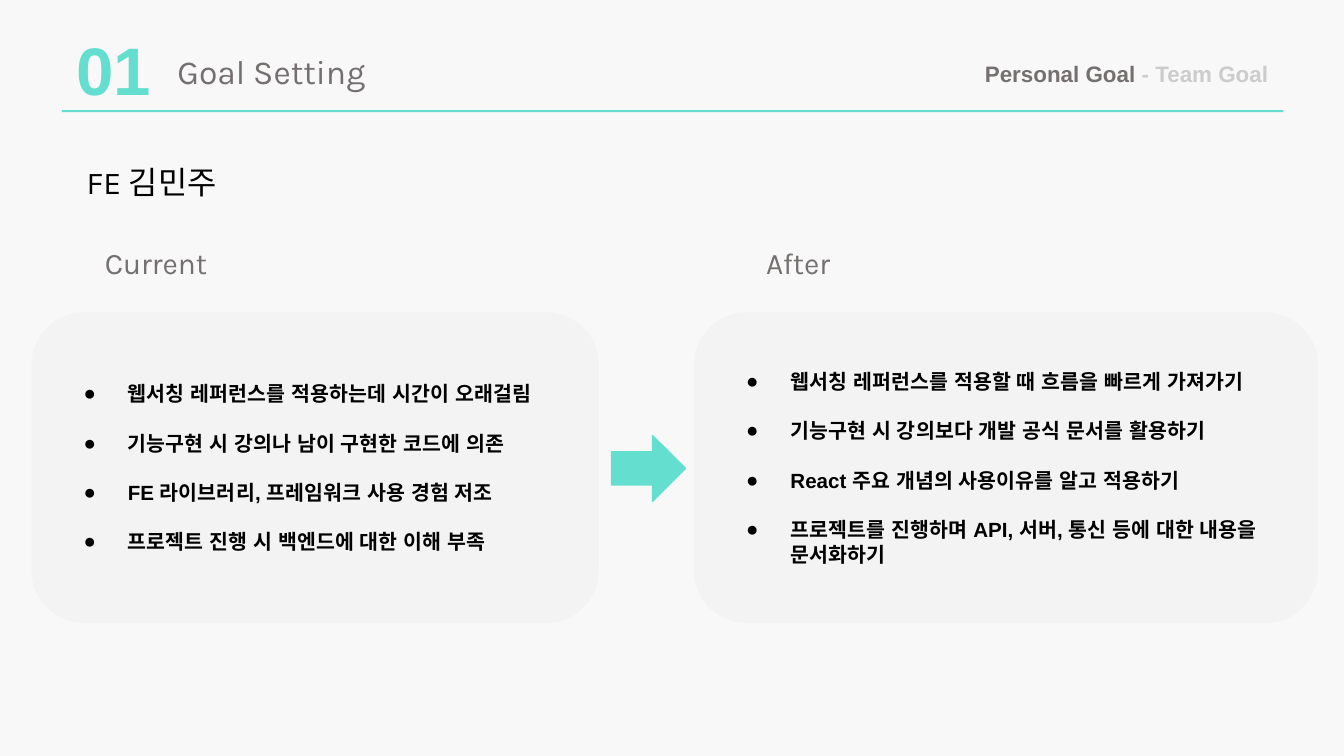
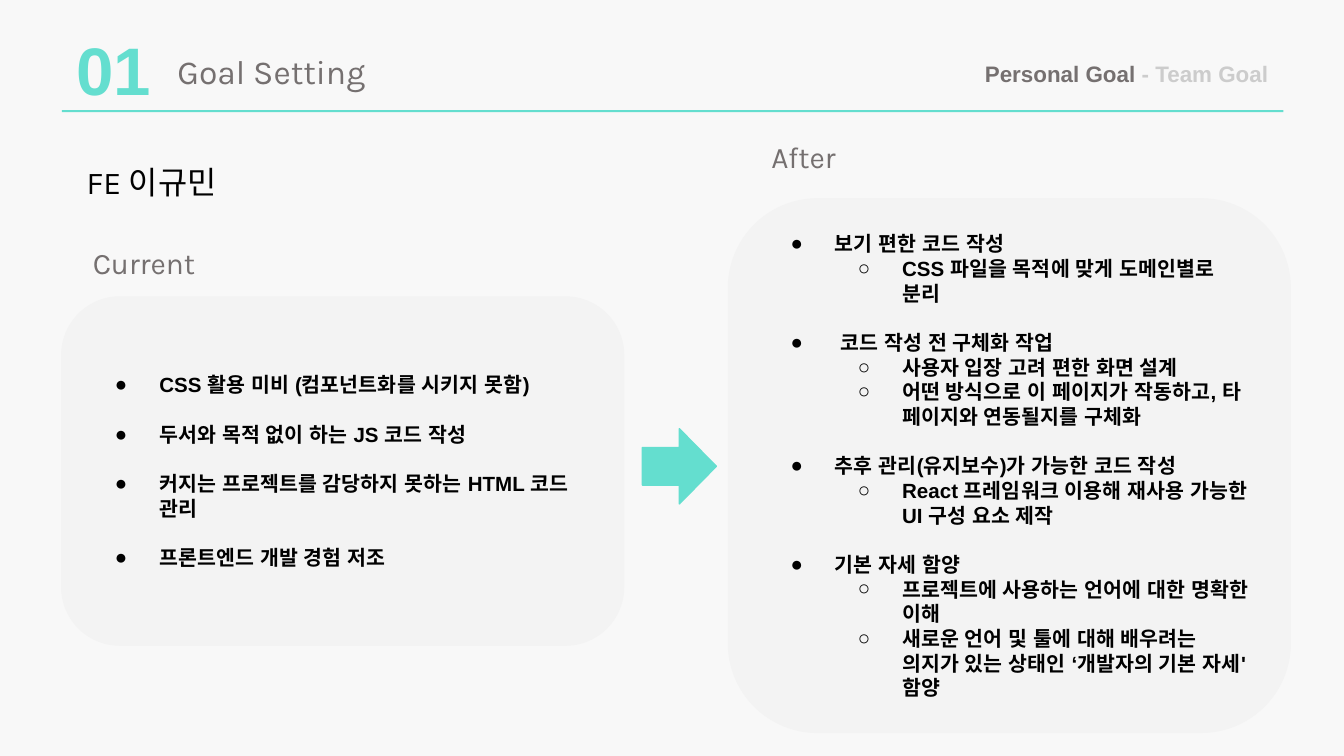
from dataclasses import dataclass

from lxml.etree import SubElement
from pptx import Presentation
from pptx.dml.color import RGBColor
from pptx.enum.shapes import MSO_SHAPE
from pptx.enum.text import MSO_ANCHOR, MSO_AUTO_SIZE, PP_ALIGN
from pptx.oxml.ns import qn
from pptx.util import Inches, Pt


@dataclass(frozen=True)
class Theme:
    """Colours, fonts, type sizes and grid of the deck."""
    back: str = "F8F8F8"
    mint: str = "64DECF"
    gray: str = "757070"
    pale: str = "CCCCCC"
    panel: str = "F3F3F3"
    ink: str = "000000"
    head: str = "Karla"
    body: str = "Arial"
    mark: int = 36
    title: int = 18
    name: int = 17
    label: int = 16
    crumb: int = 12
    item: int = 11
    gap: float = 13.2
    cols: int = 100
    rows: float = 56.25
    cell: float = 0.1
    pad: float = 0.1
    corner: float = 0.167


THEME = Theme()

GOALS = [
    {
        "name": "FE 김민주",
        "arrow": (45.5, 32.4, 5.5, 4.9),
        "parts": [
            ("Current", (7.1, 17.8), (2.4, 23.3, 42.1, 23), [
                ("웹서칭 레퍼런스를 적용하는데 시간이 오래걸림", []),
                ("기능구현 시 강의나 남이 구현한 코드에 의존", []),
                ("FE 라이브러리, 프레임워크 사용 경험 저조", []),
                ("프로젝트 진행 시 백엔드에 대한 이해 부족", []),
            ]),
            ("After", (56.3, 17.8), (51.7, 23.3, 46.3, 23), [
                ("웹서칭 레퍼런스를 적용할 때 흐름을 빠르게 가져가기", []),
                ("기능구현 시 강의보다 개발 공식 문서를 활용하기", []),
                ("React 주요 개념의 사용이유를 알고 적용하기", []),
                ("프로젝트를 진행하며 API, 서버, 통신 등에 대한 내용을 문서화하기", []),
            ]),
        ],
    },
    {
        "name": "FE 이규민",
        "arrow": (47.8, 31.9, 5.5, 5.6),
        "parts": [
            ("Current", (6.2, 17.8), (4.6, 22.1, 41.8, 25.9), [
                ("CSS 활용 미비 (컴포넌트화를 시키지 못함)", []),
                ("두서와 목적 없이 하는 JS 코드 작성", []),
                ("커지는 프로젝트를 감당하지 못하는 HTML 코드 관리", []),
                ("프론트엔드 개발 경험 저조", []),
            ]),
            ("After", (56.7, 9.9), (54.2, 14.8, 41.8, 39.7), [
                ("보기 편한 코드 작성", [
                    "CSS 파일을 목적에 맞게 도메인별로 분리"]),
                (" 코드 작성 전 구체화 작업", [
                    "사용자 입장 고려 편한 화면 설계",
                    "어떤 방식으로 이 페이지가 작동하고, 타 페이지와 연동될지를 구체화"]),
                ("추후 관리(유지보수)가 가능한 코드 작성", [
                    "React 프레임워크 이용해 재사용 가능한 UI 구성 요소 제작"]),
                ("기본 자세 함양", [
                    "프로젝트에 사용하는 언어에 대한 명확한 이해",
                    "새로운 언어 및 툴에 대해 배우려는 의지가 있는 상태인 "
                    "‘개발자의 기본 자세' 함양"]),
            ]),
        ],
    },
]


def grid(*cells):
    """Turn columns and rows into lengths."""
    return [Inches(cell * THEME.cell) for cell in cells]


def tint(color):
    """Turn a hex string into a colour."""
    return RGBColor.from_string(color)


def write(para, text, size=THEME.item, font=THEME.body, color=THEME.ink, bold=False):
    """Add a formatted run to a paragraph."""
    run = para.add_run()
    run.text = text
    run.font.size = Pt(size)
    run.font.bold = bold
    run.font.color.rgb = tint(color)
    run.font.name = font
    SubElement(run.font._element, qn("a:ea")).set("typeface", font)


def frame(shape, side=THEME.pad, top=THEME.pad, anchor=MSO_ANCHOR.TOP):
    """Set the wrap, insets and anchor of a shape's text."""
    text = shape.text_frame
    text.word_wrap = True
    text.auto_size = MSO_AUTO_SIZE.NONE
    text.vertical_anchor = anchor
    text.margin_left = text.margin_right = Inches(side)
    text.margin_top = text.margin_bottom = Inches(top)
    return text


def label(slide, cells, *parts, side=THEME.pad, top=THEME.pad):
    """Add a text box of one paragraph and return the paragraph."""
    box = slide.shapes.add_textbox(*grid(*cells))
    para = frame(box, side, top).paragraphs[0]
    for text, style in parts:
        write(para, text, **style)
    return para


def block(slide, kind, cells, color, edge=True):
    """Add a preset shape in one flat colour."""
    shape = slide.shapes.add_shape(kind, *grid(*cells))
    shape.shadow.inherit = False
    shape.fill.solid()
    shape.fill.fore_color.rgb = tint(color)
    if edge:
        shape.line.color.rgb = tint(color)
        shape.line.width = Pt(0.75)
    else:
        shape.line.fill.background()
    return shape


def place(shape, cells):
    """Move a placeholder onto the grid."""
    shape.left, shape.top, shape.width, shape.height = grid(*cells)


def bullet(para, text, level=0, gap=0):
    """Format a paragraph as a bulleted list item."""
    para.level = level
    para.alignment = PP_ALIGN.LEFT
    para.line_spacing = 1.0
    para.space_before = Pt(gap)
    para.space_after = Pt(0)
    props = para._p.get_or_add_pPr()
    props.set("marL", str(Inches(0.5 * (level + 1))))
    props.set("indent", str(-Inches(0.33)))
    fill = SubElement(props, qn("a:buClr"))
    SubElement(fill, qn("a:srgbClr")).set("val", THEME.ink)
    SubElement(props, qn("a:buFont")).set("typeface", THEME.body)
    SubElement(props, qn("a:buChar")).set("char", "●○"[level])
    write(para, text, bold=True)


def panel(slide, body, cells, items):
    """Draw a rounded panel behind a bulleted body placeholder."""
    card = block(slide, MSO_SHAPE.ROUNDED_RECTANGLE, cells, THEME.panel)
    card.adjustments[0] = THEME.corner
    body.element.addprevious(card.element)
    place(body, cells)
    inset = THEME.pad + 0.29 * THEME.corner * min(cells[2:]) * THEME.cell
    text = frame(body, inset, inset, MSO_ANCHOR.MIDDLE)
    lines = [(line, level, THEME.gap if row and not level else 0)
             for row, (item, subs) in enumerate(items)
             for level, group in enumerate(([item], subs))
             for line in group]
    for spot, line in enumerate(lines):
        para = text.add_paragraph() if spot else text.paragraphs[0]
        bullet(para, *line)


def header(slide):
    """Add the number, title, trail and rule that all slides share."""
    title = slide.shapes.title
    place(title, (12.2, 2.8, 32.8, 5))
    para = frame(title).paragraphs[0]
    para.alignment = PP_ALIGN.LEFT
    write(para, "Goal Setting", size=THEME.title, font=THEME.head, color=THEME.gray)
    label(slide, (5, 1.7, 7.2, 6.8),
          ("01", dict(size=THEME.mark, color=THEME.mint, bold=True)),
          side=0.07, top=0.04)
    trail = dict(size=THEME.crumb, bold=True)
    label(slide, (72.3, 3.5, 25, 4),
          ("Personal Goal ", dict(trail, color=THEME.gray)),
          ("- Team Goal", dict(trail, color=THEME.pale)))
    block(slide, MSO_SHAPE.RECTANGLE, (4.6, 8.2, 90.9, 0.15), THEME.mint, edge=False)


def build(deck, goal):
    """Add one person's goal slide."""
    slide = deck.slides.add_slide(deck.slide_layouts[3])
    header(slide)
    para = label(slide, (4.3, 10.7, 14, 4.9),
                 (goal["name"], dict(size=THEME.name, font=THEME.head)))
    para.alignment = PP_ALIGN.CENTER
    para.line_spacing = 1.15
    for spot, (head, start, cells, items) in enumerate(goal["parts"], 1):
        label(slide, (*start, 14.9, 3.5),
              (head, dict(size=THEME.label, font=THEME.head, color=THEME.gray)),
              side=0.07, top=0.04)
        panel(slide, slide.placeholders[spot], cells, items)
    block(slide, MSO_SHAPE.RIGHT_ARROW, goal["arrow"], THEME.mint)


def main():
    """Build and save the deck."""
    deck = Presentation()
    deck.slide_width, deck.slide_height = grid(THEME.cols, THEME.rows)
    fill = deck.slide_master.background.fill
    fill.solid()
    fill.fore_color.rgb = tint(THEME.back)
    for goal in GOALS:
        build(deck, goal)
    deck.save("out.pptx")


if __name__ == "__main__":
    main()
